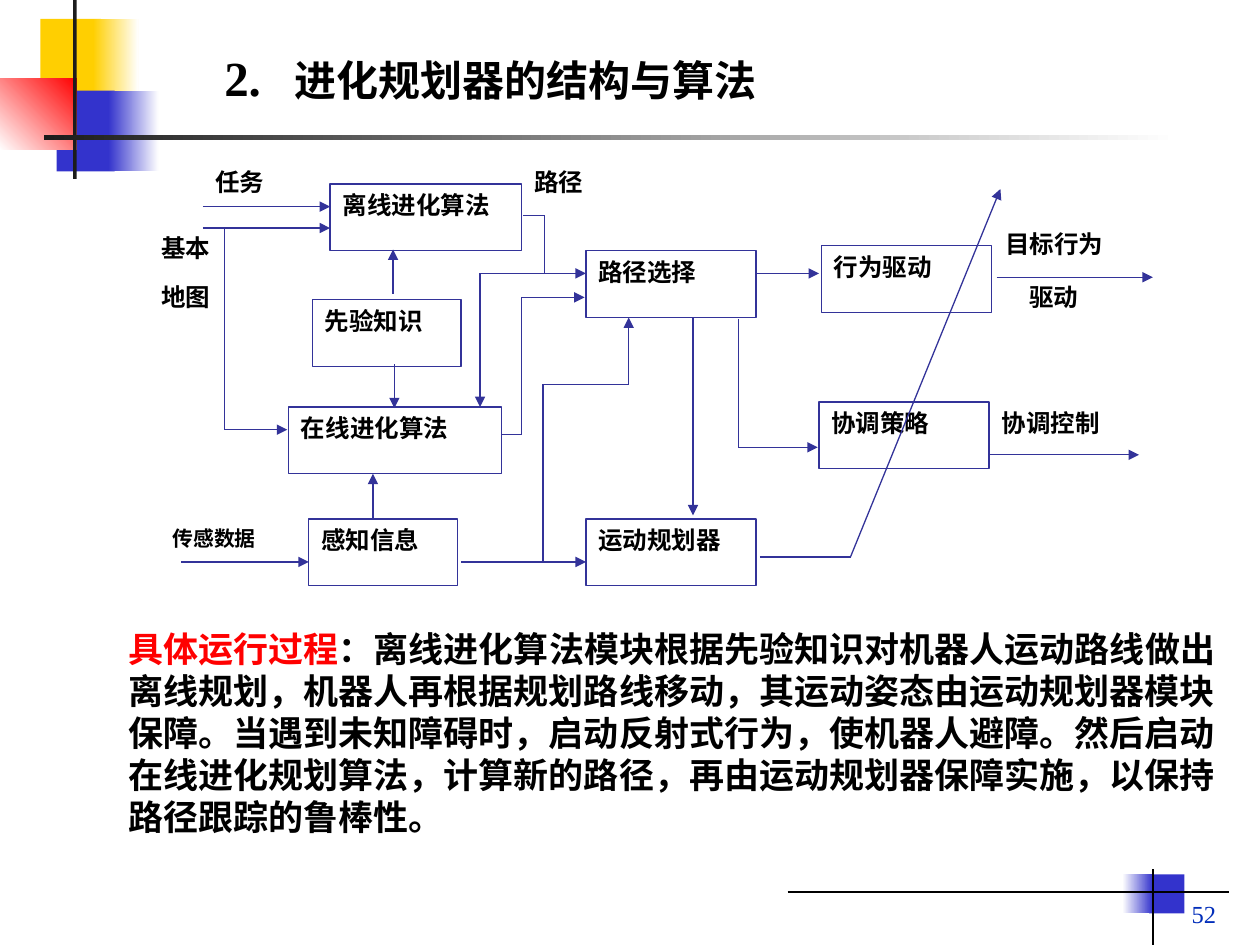
"""Build the slide on the structure of an evolutionary planner."""
from itertools import pairwise

from lxml import etree
from pptx import Presentation
from pptx.dml.color import RGBColor
from pptx.enum.shapes import MSO_CONNECTOR, MSO_SHAPE
from pptx.enum.text import MSO_ANCHOR, PP_ALIGN
from pptx.oxml.ns import qn
from pptx.util import Inches, Pt

RECTANGLE = MSO_SHAPE.RECTANGLE
STRAIGHT = MSO_CONNECTOR.STRAIGHT
LEFT, RIGHT, JUSTIFY = PP_ALIGN.LEFT, PP_ALIGN.RIGHT, PP_ALIGN.JUSTIFY
TOP, MIDDLE, BOTTOM = MSO_ANCHOR.TOP, MSO_ANCHOR.MIDDLE, MSO_ANCHOR.BOTTOM

COLUMNS, ROWS = 100, 75
CELL = Inches(0.1)
TITLE_ONLY = 5
HEI, TIMES = "Noto Sans CJK SC", "Times New Roman"
COLORS = {
    "yellow": "FFCF01", "blue": "3333CC", "red": "FF0000", "dark": "1C1C1C",
    "white": "FFFFFF", "black": "000000", "flow": "333399", "number": "022EBA",
}
BOX_HEIGHT = 5.3

DECORATION = [
    ((3.2, 1.5, 4.8, 6.4), ["yellow"], 0),
    ((7.4, 1.5, 3.6, 6.4), ["yellow", "white"], 0),
    ((4.5, 7.2, 4.6, 6.4), ["blue"], 0),
    ((8.6, 7.2, 4, 6.4), ["blue", "white"], 0),
    ((0, 6.2, 6.1, 5.7), ["white", "red"], 45),
    ((5.8, 0, 0.3, 14.2), ["dark"], 0),
    ((3.5, 10.7, 90, 0.4), ["dark", "white"], 0),
    ((91.2, 69.4, 2.8, 3.1), ["blue"], 0),
    ((89.1, 69.4, 2.4, 3.1), ["white", "blue"], 0),
]
FOOTER_LINES = [[(62.5, 70.8), (97.5, 70.8)], [(91.5, 69), (91.5, 75)]]
MODULES = [
    ("离线进化算法", 26.2, 14.6, 15.2),
    ("先验知识", 24.8, 23.8, 11.8),
    ("在线进化算法", 22.9, 32.3, 16.9),
    ("感知信息", 24.5, 41.2, 11.8),
    ("路径选择", 46.5, 19.9, 13.5),
    ("运动规划器", 46.5, 41.2, 13.5),
    ("行为驱动", 65.2, 19.5, 13.5),
    ("协调策略", 65, 31.9, 13.5),
]
SIGNALS = [
    ("任务", 16.1, 12.8, 8.5, 14),
    ("基本", 11.8, 18, 8.8, 14),
    ("地图", 11.8, 21.9, 11.8, 14),
    ("传感数据", 12.7, 41.2, 11.8, 11.9),
    ("路径", 41.4, 12.8, 8.4, 14),
    ("目标行为", 78.8, 17.7, 15.2, 14),
    ("驱动", 80.7, 21.9, 7.2, 14),
    ("协调控制", 78.5, 31.9, 13.5, 14),
]
ARROW_ROUTES = [
    [(16.1, 16.4), (26.2, 16.4)],
    [(16.1, 18.1), (26.2, 18.1)],
    [(17.8, 18.1), (17.8, 34.1), (22.8, 34.1)],
    [(31.2, 23.3), (31.2, 19.8)],
    [(31.3, 28.9), (31.3, 32.4)],
    [(29.6, 41.2), (29.6, 37.6)],
    [(14.4, 44.6), (24.5, 44.6)],
    [(36.6, 44.6), (46.5, 44.6)],
    [(43.1, 44.5), (43.1, 30.5), (49.9, 30.5), (49.9, 25.2)],
    [(39.8, 34.5), (41.4, 34.5), (41.4, 23.6), (46.4, 23.6)],
    [(38.1, 21.7), (46.5, 21.7)],
    [(38.1, 21.7), (38.1, 32.3)],
    [(55, 25.2), (55, 40.9)],
    [(58.6, 25.3), (58.6, 35.5), (64.9, 35.5)],
    [(60, 21.7), (65, 21.7)],
    [(60.3, 44.2), (67.5, 44.2), (79.4, 15)],
    [(79.1, 22), (91.5, 22)],
    [(78.6, 36.1), (90.4, 36.1)],
]
PLAIN_ROUTE = [(41.5, 17.1), (43.2, 17.1), (43.2, 21.7)]
PROCESS = (
    "：离线进化算法模块根据先验知识对机器人运动路线做出离线规划，"
    "机器人再根据规划路线移动，其运动姿态由运动规划器模块保障。"
    "当遇到未知障碍时，启动反射式行为，使机器人避障。"
    "然后启动在线进化规划算法，计算新的路径，再由运动规划器保障实施，"
    "以保持路径跟踪的鲁棒性。"
)


def grid(*cells):
    """Turn grid cells into slide lengths."""
    return [round(cell * CELL) for cell in cells]


def color(key):
    """Look up a palette colour."""
    return RGBColor.from_string(COLORS[key])


def add_run(paragraph, text, size, latin=HEI, ink="black", bold=True):
    """Append a formatted run."""
    run = paragraph.add_run()
    run.text = text
    font = run.font
    font.size, font.bold, font.name = Pt(size), bold, latin
    font.color.rgb = color(ink)
    etree.SubElement(font._element, qn("a:ea"), typeface=HEI)


def prepare_text(holder, align, anchor=TOP):
    """Set up a text frame and return its first paragraph."""
    frame = holder.text_frame
    frame.word_wrap = True
    frame.vertical_anchor = anchor
    paragraph = frame.paragraphs[0]
    paragraph.alignment = align
    return paragraph


def add_text_area(slide, cells, align, anchor=TOP):
    """Add a text box and return its first paragraph."""
    return prepare_text(slide.shapes.add_textbox(*grid(*cells)), align, anchor)


def add_block(slide, cells, keys, angle):
    """Add a decorative block with a solid or gradient fill."""
    block = slide.shapes.add_shape(RECTANGLE, *grid(*cells))
    block.shadow.inherit = False
    block.line.fill.background()
    if len(keys) == 1:
        block.fill.solid()
        block.fill.fore_color.rgb = color(keys[0])
        return
    block.fill.gradient()
    block.fill.gradient_angle = angle
    for stop, key, position in zip(block.fill.gradient_stops, keys, (0, 1)):
        stop.color.rgb = color(key)
        stop.position = position


def add_module(slide, label, column, row, width):
    """Add an outlined module of the planner."""
    module = slide.shapes.add_shape(RECTANGLE, *grid(column, row, width, BOX_HEIGHT))
    module.shadow.inherit = False
    module.fill.background()
    module.line.color.rgb = color("flow")
    module.line.width = Pt(0.75)
    add_run(prepare_text(module, JUSTIFY), label, 14)


def add_route(slide, points, ink="flow", arrow=False):
    """Draw straight segments through points, with an optional arrowhead."""
    for start, end in pairwise(points):
        segment = slide.shapes.add_connector(STRAIGHT, *grid(*start, *end))
        segment.line.color.rgb = color(ink)
        segment.line.width = Pt(0.75)
        if arrow and end == points[-1]:
            etree.SubElement(segment.line._get_or_add_ln(), qn("a:tailEnd"), type="triangle")
        etree.SubElement(segment._element.spPr, qn("a:effectLst"))


def add_title(slide):
    """Fill the title placeholder, with a tab after the number."""
    title = slide.shapes.title
    title.left, title.top, title.width, title.height = grid(16.8, 1.5, 48.3, 9.2)
    heading = prepare_text(title, LEFT, MIDDLE)
    tabs = etree.SubElement(heading._p.get_or_add_pPr(), qn("a:tabLst"))
    etree.SubElement(tabs, qn("a:tab"), pos=str(grid(5.6)[0]), algn="l")
    add_run(heading, "2.\t", 28, TIMES)
    add_run(heading, "进化规划器的结构与算法", 24, TIMES)


def main():
    """Assemble and save the slide."""
    deck = Presentation()
    deck.slide_width, deck.slide_height = grid(COLUMNS, ROWS)
    slide = deck.slides.add_slide(deck.slide_layouts[TITLE_ONLY])
    for cells, keys, angle in DECORATION:
        add_block(slide, cells, keys, angle)
    for points in FOOTER_LINES:
        add_route(slide, points, "black")
    add_title(slide)
    for module in MODULES:
        add_module(slide, *module)
    for label, column, row, width, size in SIGNALS:
        signal = add_text_area(slide, (column, row, width, BOX_HEIGHT), JUSTIFY)
        add_run(signal, label, size)
    for points in ARROW_ROUTES:
        add_route(slide, points, arrow=True)
    add_route(slide, PLAIN_ROUTE)
    process = add_text_area(slide, (9.2, 49.3, 88.3, 17.7), LEFT)
    process.line_spacing = Pt(24)
    add_run(process, "具体运行过程", 20, TIMES, "red")
    add_run(process, PROCESS, 20, TIMES)
    number = add_text_area(slide, (76.7, 69, 20.8, 5.2), RIGHT, BOTTOM)
    add_run(number, "52", 14, TIMES, "number", bold=False)
    deck.save("out.pptx")


if __name__ == "__main__":
    main()
